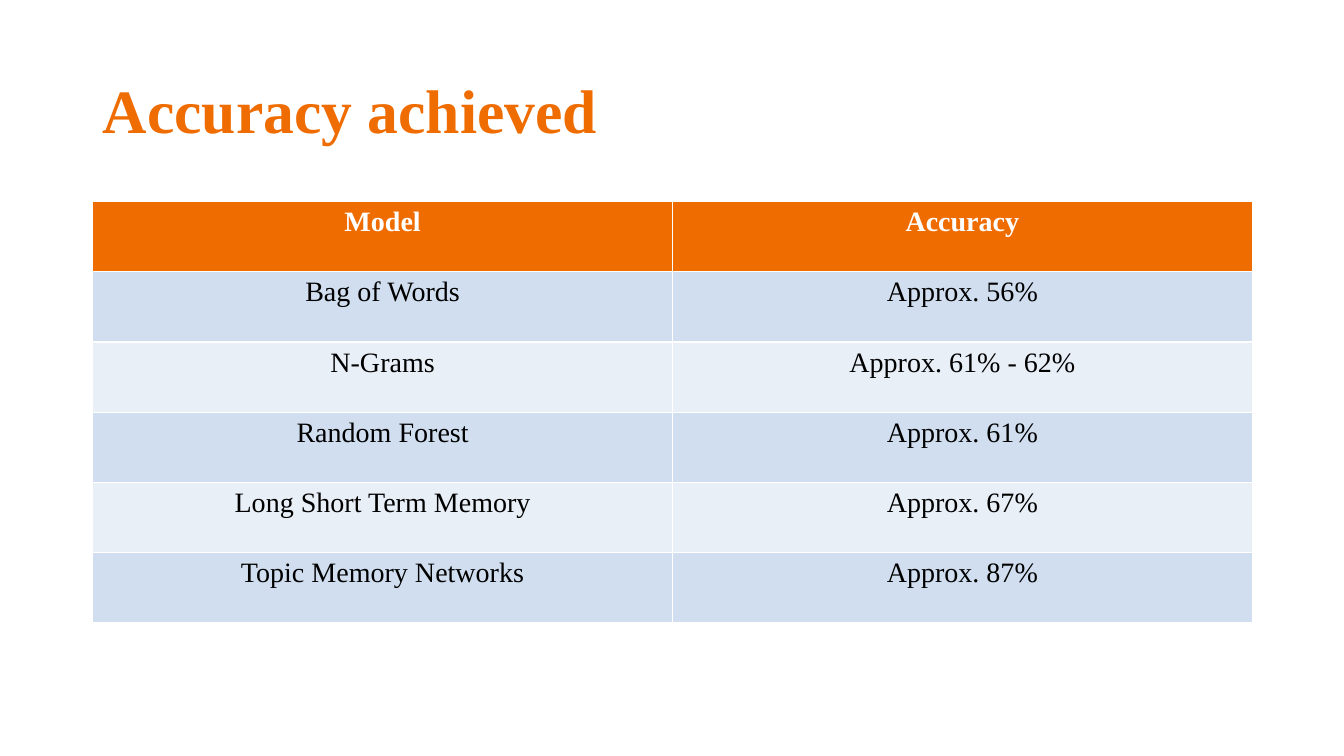
from dataclasses import dataclass

from pptx import Presentation
from pptx.dml.color import RGBColor
from pptx.enum import text
from pptx.util import Inches, Pt

COLORS = {
    "accent": "EF6C00",
    "white": "FFFFFF",
    "black": "000000",
    "odd_band": "D0DEEF",
    "even_band": "E9EFF7",
}
FONT = "Times New Roman"
LEFT, WIDTH = 0.92, 11.5
TABLE_TOP, TABLE_HEIGHT = 2, 4.18


@dataclass
class Result:
    model: str
    accuracy: str


HEADER = Result("Model", "Accuracy")
RESULTS = [
    Result("Bag of Words", "Approx. 56%"),
    Result("N-Grams", "Approx. 61% - 62%"),
    Result("Random Forest", "Approx. 61%"),
    Result("Long Short Term Memory", "Approx. 67%"),
    Result("Topic Memory Networks", "Approx. 87%"),
]


def write(frame, words: str, size: int, color: str, bold: bool, **para_format) -> None:
    """Fill the first paragraph of a text frame with one formatted span."""
    para = frame.paragraphs[0]
    for name, value in para_format.items():
        setattr(para, name, value)
    span = para.add_run()
    span.text = words
    for name, value in {"name": FONT, "size": Pt(size), "bold": bold}.items():
        setattr(span.font, name, value)
    span.font.color.rgb = RGBColor.from_string(COLORS[color])


def add_title(page, words: str) -> None:
    box = page.shapes.add_textbox(Inches(LEFT), Inches(0.4), Inches(WIDTH), Inches(1.45))
    frame = box.text_frame
    frame.word_wrap = True
    frame.vertical_anchor = text.MSO_ANCHOR.MIDDLE
    write(frame, words, 44, "accent", True, line_spacing=0.9)


def fill_row(row, result: Result, fill: str, color: str, bold: bool) -> None:
    for cell, words in zip(row.cells, (result.model, result.accuracy)):
        cell.fill.solid()
        cell.fill.fore_color.rgb = RGBColor.from_string(COLORS[fill])
        write(cell.text_frame, words, 20, color, bold, alignment=text.PP_ALIGN.CENTER)


def add_results(page) -> None:
    # The default table style supplies the white cell borders
    table = page.shapes.add_table(
        len(RESULTS) + 1, 2,
        Inches(LEFT), Inches(TABLE_TOP), Inches(WIDTH), Inches(TABLE_HEIGHT),
    ).table
    header_row, *result_rows = table.rows
    fill_row(header_row, HEADER, "accent", "white", True)
    for index, (row, result) in enumerate(zip(result_rows, RESULTS)):
        band = "even_band" if index % 2 else "odd_band"
        fill_row(row, result, band, "black", False)


def main() -> None:
    # Deck and blank page
    deck = Presentation()
    deck.slide_width, deck.slide_height = Inches(13.33), Inches(7.5)
    page = deck.slides.add_slide(deck.slide_layouts[6])

    # Title and accuracy table
    add_title(page, "Accuracy achieved")
    add_results(page)
    deck.save("out.pptx")


if __name__ == "__main__":
    main()
